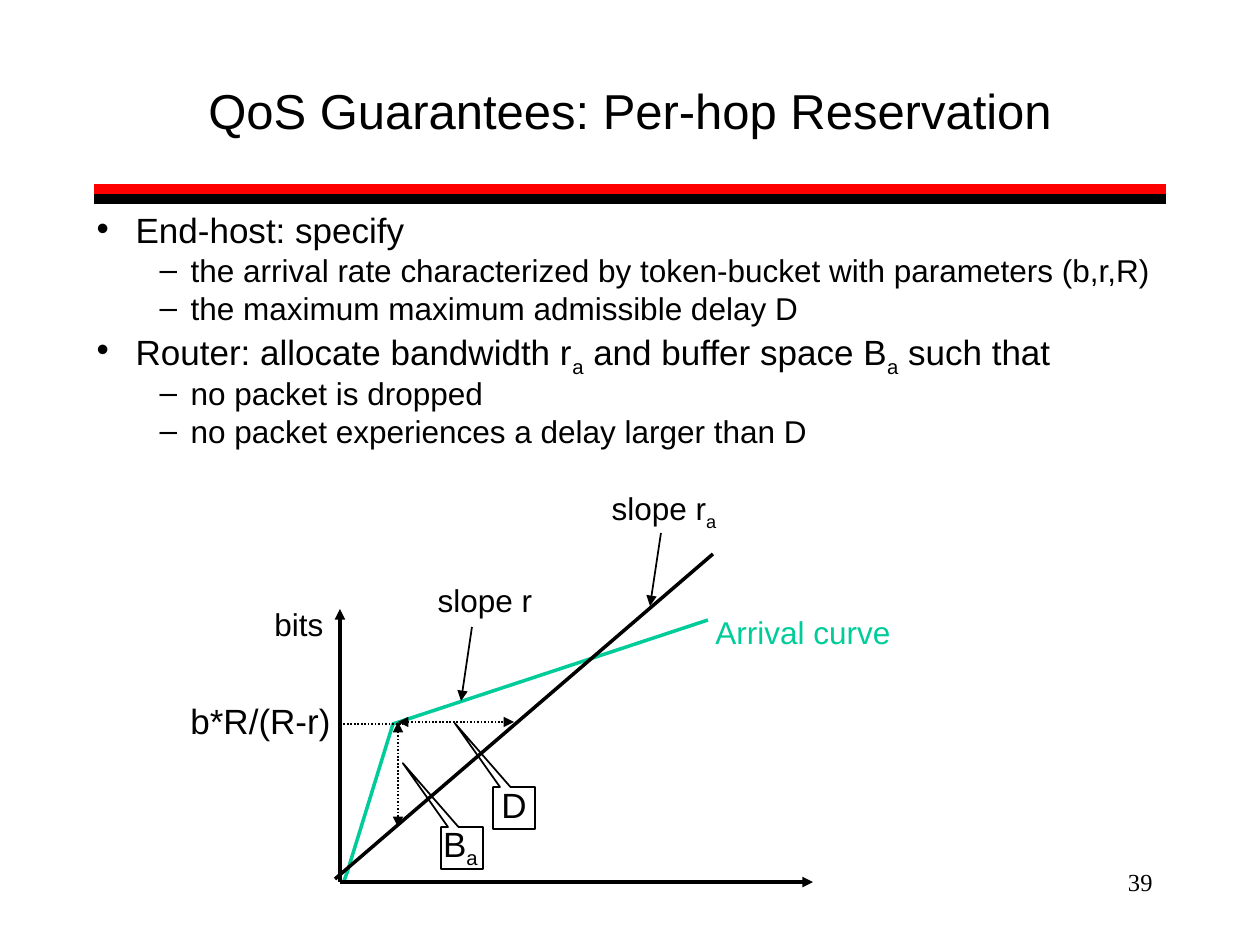
"""Build the slide on per-hop reservation and its arrival curve."""
from pptx import Presentation
from pptx.dml.color import RGBColor
from pptx.enum.dml import MSO_LINE
from pptx.enum.shapes import MSO_CONNECTOR, MSO_SHAPE
from pptx.enum.text import MSO_ANCHOR, MSO_AUTO_SIZE, PP_ALIGN
from pptx.oxml.ns import qn
from pptx.util import Emu, Pt
from lxml.etree import SubElement

SCALE = 914400 / 126
HUES = {"ink": "000000", "red": "FF0000", "green": "00CC99"}

TITLE = "QoS Guarantees: Per-hop Reservation"
BODY = [
    (0, "End-host: specify"),
    (1, "the arrival rate characterized by token-bucket with parameters (b,r,R)"),
    (1, "the maximum maximum admissible delay D"),
    (0, "Router: allocate bandwidth r~a~ and buffer space B~a~ such that"),
    (1, "no packet is dropped"),
    (1, "no packet experiences a delay larger than D"),
]
LEVELS = [
    {"size": 20, "before": 5, "margin": 39, "indent": -39},
    {"size": 18, "before": 4.5, "margin": 94, "indent": -31},
]
CURVE = [(344, 881), (347, 873), (393, 724), (708, 620)]
LINES = [
    ((94, 189, 1166, 189), "red", 6, "", False),
    ((94, 199, 1166, 199), "ink", 6, "", False),
    ((340, 882, 813, 882), "ink", 2, "tail", False),
    ((340, 882, 340, 609), "ink", 2, "tail", False),
    ((340, 724, 403, 724), "ink", 1, "", True),
    ((472, 627, 461, 701), "ink", 1, "tail", False),
    ((335, 879, 713, 554), "ink", 2, "", False),
    ((398, 722, 514, 722), "ink", 1, "head tail", True),
    ((398, 722, 398, 827), "ink", 1, "head tail", True),
    ((661, 533, 650, 606), "ink", 1, "tail", False),
]
CALLS = [(493, 787), (441, 827)]
LABELS = [
    ("bits", (261, 599, 76, 50), 18, "ink"),
    ("b*R/(R-r)", (176, 693, 169, 54), 20, "ink"),
    ("slope r", (425, 575, 120, 50), 18, "ink"),
    ("Arrival curve", (702, 607, 202, 50), 18, "green"),
    ("D", (488, 777, 52, 54), 20, "ink"),
    ("B~a~", (429, 816, 63, 60), 20, "ink"),
    ("slope r~a~", (598, 483, 132, 55), 18, "ink"),
]


def px(num):
    return Emu(round(num * SCALE))


def rgb(hue):
    return RGBColor.from_string(HUES[hue])


def write(para, text, size, hue="ink", face="Arial"):
    for pos, part in enumerate(text.split("~")):
        if part:
            run = para.add_run()
            run.text = part
            for key, val in {"size": Pt(size), "name": face}.items():
                setattr(run.font, key, val)
            run.font.color.rgb = rgb(hue)
            if pos % 2:
                run.font._element.set("baseline", "-25000")


def place(shape, box):
    for key, val in zip(("left", "top", "width", "height"), box):
        setattr(shape, key, px(val))


def setup(item, **form):
    for key, val in form.items():
        setattr(item, key, val)


def stroke(shape, hue, width):
    shape.line.color.rgb = rgb(hue)
    shape.line.width = Pt(width)


def label(shapes, text, box, size, hue="ink", face="Arial", align=PP_ALIGN.CENTER):
    frame = shapes.add_textbox(*map(px, box)).text_frame
    if align == PP_ALIGN.CENTER:
        setup(frame, word_wrap=False, auto_size=MSO_AUTO_SIZE.SHAPE_TO_FIT_TEXT)
    else:
        setup(frame, word_wrap=True, auto_size=MSO_AUTO_SIZE.NONE)
    para = frame.paragraphs[0]
    para.alignment = align
    write(para, text, size, hue, face)


def link(shapes, ends, hue, width, tips, dots):
    line = shapes.add_connector(MSO_CONNECTOR.STRAIGHT, *map(px, ends))
    stroke(line, hue, width)
    if dots:
        line.line.dash_style = MSO_LINE.ROUND_DOT
    for tip in tips.split():
        SubElement(line.line._get_or_add_ln(), qn(f"a:{tip}End"), type="triangle")
    SubElement(line._element.spPr, qn("a:effectLst"))


def fill(body):
    place(body, (84, 210, 1144, 262))
    frame = body.text_frame
    setup(frame, auto_size=MSO_AUTO_SIZE.NONE, vertical_anchor=MSO_ANCHOR.TOP)
    for pos, (level, text) in enumerate(BODY):
        form = LEVELS[level]
        para = frame.add_paragraph() if pos else frame.paragraphs[0]
        props = para._p.get_or_add_pPr()
        props.set("marL", str(px(form["margin"])))
        props.set("indent", str(px(form["indent"])))
        before = Pt(form["before"] if pos else 0)
        setup(para, level=level, line_spacing=0.8, space_before=before)
        write(para, text, form["size"])


def main():
    deck = Presentation()
    setup(deck, slide_width=px(1260), slide_height=px(945))
    slide = deck.slides.add_slide(deck.slide_layouts[1])
    shapes = slide.shapes
    head = shapes.title
    place(head, (94, 52, 1072, 116))
    setup(head.text_frame, auto_size=MSO_AUTO_SIZE.NONE, vertical_anchor=MSO_ANCHOR.MIDDLE)
    head.text_frame.paragraphs[0].alignment = PP_ALIGN.CENTER
    write(head.text_frame.paragraphs[0], TITLE, 28)
    fill(slide.placeholders[1])

    draft = shapes.build_freeform(*CURVE[0], scale=SCALE)
    draft.add_line_segments(CURVE[1:], close=False)
    curve = draft.convert_to_shape()
    calls = []
    for left, top in CALLS:
        call = shapes.add_shape(MSO_SHAPE.RECTANGULAR_CALLOUT, *map(px, (left, top, 42, 42)))
        call.adjustments[0], call.adjustments[1] = -1.41, -2.02
        calls.append(call)
    for shape, hue, width in [(curve, "green", 2)] + [(call, "ink", 1) for call in calls]:
        shape.shadow.inherit = False
        shape.fill.background()
        stroke(shape, hue, width)
    for item in LINES:
        link(shapes, *item)
    for item in LABELS:
        label(shapes, *item)
    label(shapes, "39", (903, 861, 262, 63), 14, face="Times New Roman", align=PP_ALIGN.RIGHT)
    deck.save("out.pptx")


if __name__ == "__main__":
    main()
